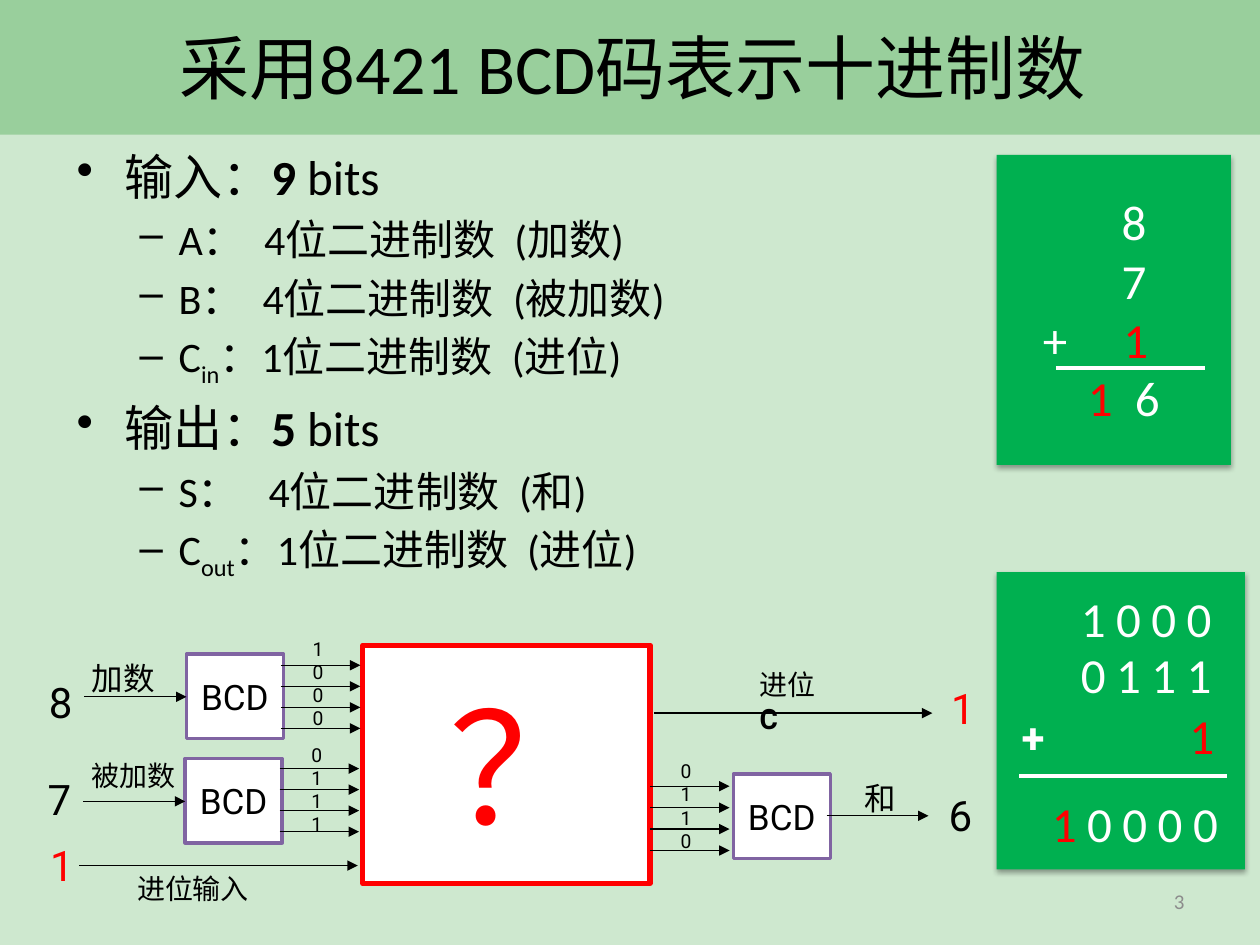
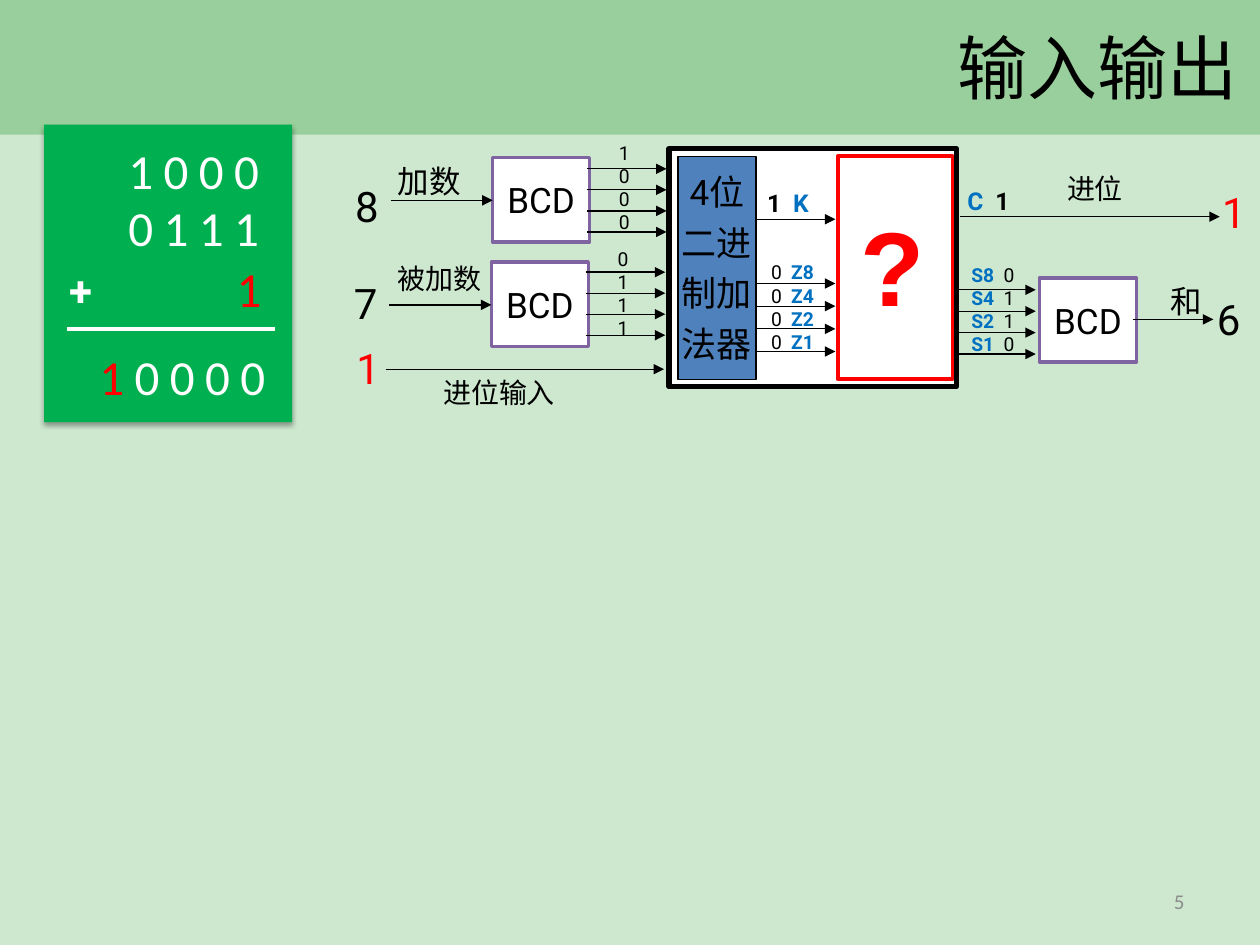
"""Build two slides on adding decimal digits in 8421 BCD code."""
from lxml.etree import SubElement
from pptx import Presentation
from pptx.dml.color import RGBColor
from pptx.enum.shapes import MSO_CONNECTOR, MSO_SHAPE
from pptx.enum.text import MSO_ANCHOR, MSO_AUTO_SIZE, PP_ALIGN
from pptx.oxml.ns import qn
from pptx.util import Inches, Pt


class Theme:
    """Colours, fonts and type sizes in one place."""
    page, band, card = "CEE8CF", "99CF9C", "00B050"
    black, white, red, blue = "000000", "FFFFFF", "FF0000", "0070C0"
    box, adder, grey = "8064A2", "4F81BD", "8C8C8C"
    title = dict(name="Calibri", size=40, color=black)
    body = dict(name="Calibri", size=28, color=black)
    item = dict(body, size=24)
    foot = dict(name="Calibri", size=12, color=grey)
    sum = dict(name="Calibri", size=28, color=white)
    wide = dict(sum, spc=600)
    plus = dict(name="Roboto", size=24, color=white, bold=True)
    digit = dict(name="Roboto", size=24, color=black)
    block = dict(digit, size=20)
    label = dict(digit, size=18)
    small = dict(digit, size=16)
    wire = dict(digit, size=14, bold=True)
    bit = dict(digit, size=11)
    huge = dict(name="Arial", size=88, color=red)
    mark = dict(huge, size=60, bold=True)


UNIT = Inches(0.1)
SPACE = 0.23
LEFT, MID, RIGHT = PP_ALIGN.LEFT, PP_ALIGN.CENTER, PP_ALIGN.RIGHT
RED, BLUE = dict(color=Theme.red), dict(color=Theme.blue, bold=True)
BOLD = dict(bold=True)
SUB = dict(baseline=-25000)

BODY = [
    (0, ["输入：", ("9", BOLD), " bits"]),
    (1, ["A：", 2, "4位二进制数", 2, "(加数)"]),
    (1, ["B：", 2, "4位二进制数", 2, "(被加数)"]),
    (1, ["C", ("in", SUB), "：1位二进制数", 2, "(进位)"]),
    (0, ["输出：", ("5", BOLD), " bits"]),
    (1, ["S：", 3, "4位二进制数", 2, "(和)"]),
    (1, ["C", ("out", SUB), "：1位二进制数", 2, "(进位)"]),
]
DECIMAL = [
    (10, ["8"]),
    (10, ["7"]),
    (3, ["+", 5, ("1", RED)]),
    (7, [("1", RED), 2, "6"]),
]
BINARY = [
    (5.7, 0.8, 13.4, ["1000"], Theme.wide),
    (5.7, 5.3, 13.4, ["0111"], Theme.wide),
    (14.3, 10.1, 4.9, [("1", RED)], Theme.wide),
    (1, 10.6, 4.8, ["+"], Theme.plus),
    (3.4, 17.1, 16.2, [("1", RED), "0000"], Theme.wide),
]
COMMON = [
    (-25.9, 2, 3.9, ["8"], Theme.digit),
    (-26, 9.7, 3.9, ["7"], Theme.digit),
    (-25.8, 14.9, 3.9, [("1", RED)], Theme.digit),
    (-22.5, 0.6, 7.1, ["加数"], Theme.label),
    (-22.5, 8.5, 8.8, ["被加数"], Theme.small),
    (-18.9, 17.5, 11, ["进位输入"], Theme.small),
    (38.8, 10.1, 4.5, ["和"], Theme.label),
]
BLOCKS = [(-14, 0.7), (-14.1, 9), (29.4, 10.25)]
ARROWS = [(-22.1, 4.1, 8.1), (-22.2, 12.4, 8.1), (-22.5, 17.5, 22.1)]
ADDENDS = [(-6.5, 1.6, -5, -1.1, "1000"), (-6.6, 9.8, -5.1, 7.3, "0111")]
TOTAL = "0110"
WEIGHTS = "8421"


def grid(*cells):
    return [round(cell * UNIT) for cell in cells]


def color(text):
    return RGBColor.from_string(text)


def style(run, form):
    for key, val in form.items():
        if key == "color":
            run.font.color.rgb = color(val)
        elif key in ("spc", "baseline"):
            run._r.get_or_add_rPr().set(key, str(val))
        else:
            setattr(run.font, key, Pt(val) if key == "size" else val)


def fill(para, runs, form):
    for item in runs:
        extra = {}
        if isinstance(item, int):
            extra = dict(spc=round((item - 1) * SPACE * form["size"] * 100))
            item = " "
        elif isinstance(item, tuple):
            item, extra = item
        run = para.add_run()
        run.text = item
        style(run, {**form, **extra})


def write(shape, lines, form, align=LEFT, **frame):
    text = shape.text_frame
    for key, val in frame.items():
        setattr(text, key, val)
    for num, runs in enumerate(lines):
        para = text.add_paragraph() if num else text.paragraphs[0]
        para.alignment = align
        fill(para, runs, form)
    return text.paragraphs


def note(page, area, lines, form, align=LEFT, **frame):
    shape = page.shapes.add_textbox(*grid(*area))
    return write(shape, lines, form, align, **{"word_wrap": True, **frame})


def label(page, area, lines, form, align=LEFT):
    note(page, area, lines, form, align, word_wrap=False,
         auto_size=MSO_AUTO_SIZE.SHAPE_TO_FIT_TEXT)


def block(page, area, tint=None, edge=None, width=1):
    shape = page.shapes.add_shape(MSO_SHAPE.RECTANGLE, *grid(*area))
    shape.shadow.inherit = False
    if tint:
        shape.fill.solid()
        shape.fill.fore_color.rgb = color(tint)
    else:
        shape.fill.background()
    if edge:
        shape.line.color.rgb = color(edge)
        shape.line.width = Pt(width)
    else:
        shape.line.fill.background()
    return shape


def rule(page, left, top, size, tint=Theme.black, width=0.75, head=True):
    line = page.shapes.add_connector(
        MSO_CONNECTOR.STRAIGHT, *grid(left, top, left + size, top))
    line.line.color.rgb = color(tint)
    line.line.width = Pt(width)
    prop = line._element.spPr
    if head:
        SubElement(prop.find(qn("a:ln")), qn("a:tailEnd"), type="triangle")
    SubElement(prop, qn("a:effectLst"))


def indent(para, left, hang=0, mark=None):
    prop = para._p.get_or_add_pPr()
    prop.set("marL", str(Inches(left)))
    prop.set("indent", str(Inches(hang)))
    if mark:
        SubElement(prop, qn("a:buChar"), char=mark)


def card(page, area):
    shape = block(page, area, Theme.card)
    glow = SubElement(
        shape._element.spPr.find(qn("a:effectLst")), qn("a:outerShdw"),
        blurRad=str(Pt(3.1)), dist=str(Pt(1.8)), dir="5400000", rotWithShape="0")
    tint = SubElement(glow, qn("a:srgbClr"), val=Theme.black)
    SubElement(tint, qn("a:alpha"), val="35000")
    return shape


def binary(page, left, top):
    card(page, (left, top, 19.7, 23.6))
    rule(page, left + 1.8, top + 16.2, 16.5, Theme.white, 2.25, False)
    for col, row, wide, runs, form in BINARY:
        note(page, (left + col, top + row, wide, 5.7), [runs], form)


def decimal(page, left, top):
    shape = card(page, (left, top, 18.6, 24.6))
    paras = write(shape, [runs for _, runs in DECIMAL], Theme.sum,
                  word_wrap=True, margin_top=Inches(0.29),
                  vertical_anchor=MSO_ANCHOR.TOP)
    for para, (count, _) in zip(paras, DECIMAL):
        indent(para, count * SPACE * Theme.sum["size"] / 72)
    rule(page, left + 4.7, top + 16.9, 11.8, Theme.white, 2.25, False)


def wires(page, left, top, step=1.67):
    for num in range(4):
        rule(page, left, top + num * step, 6.3)


def circuit(page, left, top, edge, carry, total):
    main = block(page, (left, top, 22.8, 18.9), Theme.white, edge, 3)
    for col, row in BLOCKS:
        unit = block(page, (left + col, top + row, 7.7, 6.7), Theme.white, Theme.box, 2)
        write(unit, [["BCD"]], Theme.block, MID, word_wrap=False,
              vertical_anchor=MSO_ANCHOR.MIDDLE)
    ends = [(23.1, 5.4, carry - 23.1), (36.8, 13.55, total - 36.8)]
    for col, row, size in ARROWS + ends:
        rule(page, left + col, top + row, size)
    for col, row, side, head, bits in ADDENDS:
        wires(page, left + col, top + row)
        label(page, (left + side, top + head, 2.9, 8.4), bits, Theme.bit, MID)
    wires(page, left + 22.8, top + 11.2, 1.7)
    outs = [(carry + 0.5 if carry > 45 else carry - 0.8, 2.5, 3.9, [("1", RED)], Theme.digit),
            (total + 0.6 if total > 44 else total - 0.7, 11, 3.9, ["6"], Theme.digit)]
    for col, row, wide, runs, form in COMMON + outs:
        label(page, (left + col, top + row, wide, form["size"] / 5), [runs], form)
    return main


def start(deck, title, num, align):
    page = deck.slides.add_slide(deck.slide_layouts[6])
    page.background.fill.solid()
    page.background.fill.fore_color.rgb = color(Theme.page)
    block(page, (0, 0, 100, 10.7), Theme.band)
    mid = MSO_ANCHOR.MIDDLE
    note(page, (1.2, 1, 98, 8.5), [[title]], Theme.title, align, vertical_anchor=mid)
    note(page, (79.1, 69.5, 15.9, 4), [[num]], Theme.foot, RIGHT, vertical_anchor=mid)
    return page


def first(deck):
    page = start(deck, "采用8421 BCD码表示十进制数", "3", MID)
    text = page.shapes.add_textbox(*grid(5.1, 11.1, 59.1, 39)).text_frame
    text.word_wrap = True
    looks = [(Theme.body, 0.38, -0.38, "•"), (Theme.item, 0.81, -0.31, "–")]
    for num, (level, runs) in enumerate(BODY):
        form, left, hang, mark = looks[level]
        para = text.add_paragraph() if num else text.paragraphs[0]
        para.level = level
        para.space_before = Pt(form["size"] * 0.2)
        indent(para, left, hang, mark)
        fill(para, runs, form)
    decimal(page, 79.1, 12.3)
    left, top = 28.8, 51.2
    main = circuit(page, left, top, Theme.red, 45.2, 44.9)
    write(main, [["？ "]], Theme.huge, RIGHT, word_wrap=False,
          vertical_anchor=MSO_ANCHOR.MIDDLE)
    label(page, (left + 24.2, top + 8.6, 2.9, 8.4), TOTAL, Theme.bit, MID)
    note(page, (left + 30.5, top + 1.3, 7.5, 3.7), [["进位 ", ("C", BOLD)]], Theme.small)
    binary(page, 79.1, 45.4)


def second(deck):
    page = start(deck, "输入输出", "5", RIGHT)
    left, top = 53.1, 11.8
    circuit(page, left, top, Theme.black, 43.7, 43.2)
    label(page, (left + 30.6, top + 1.3, 6.5, 3.7), [["进位"]], Theme.small)
    sums = [[("S" + name, BLUE), 2, bit] for name, bit in zip(WEIGHTS, TOTAL)]
    label(page, (left + 22.8, top + 8.6, 5.8, 8.4), sums, Theme.bit, MID)
    adder = block(page, (left + 0.7, top + 0.6, 6.2, 17.7), Theme.adder, Theme.black, 0.75)
    paras = write(adder, [["4位"], ["二进"], ["制加"], ["法器"]], Theme.block, MID,
                  word_wrap=False, vertical_anchor=MSO_ANCHOR.TOP)
    for para in paras:
        para.line_spacing = 1.2
    block(page, (left + 13.4, top + 0.6, 9.1, 17.7), None, Theme.red, 2.25)
    wires(page, left + 6.9, top + 10.7, 1.8)
    rule(page, left + 6.9, top + 5.6, 6.3)
    mids = [["0", 2, ("Z" + name, BLUE)] for name in WEIGHTS]
    label(page, (left + 6.9, top + 8.4, 5.8, 8.4), mids, Theme.bit, MID)
    label(page, (left + 6.8, top + 2.6, 5.8, 3.4), [["1", 2, ("K", BLUE)]], Theme.wire)
    label(page, (left + 22.7, top + 2.5, 5.7, 3.4), [[("C", BLUE), 2, "1"]], Theme.wire)
    note(page, (left + 13.2, top + 3.6, 9.1, 11.1), [["?"]], Theme.mark, MID,
         vertical_anchor=MSO_ANCHOR.MIDDLE)
    binary(page, 3.5, 9.9)


def main():
    deck = Presentation()
    deck.slide_width, deck.slide_height = grid(100, 75)
    first(deck)
    second(deck)
    deck.save("out.pptx")


main()
